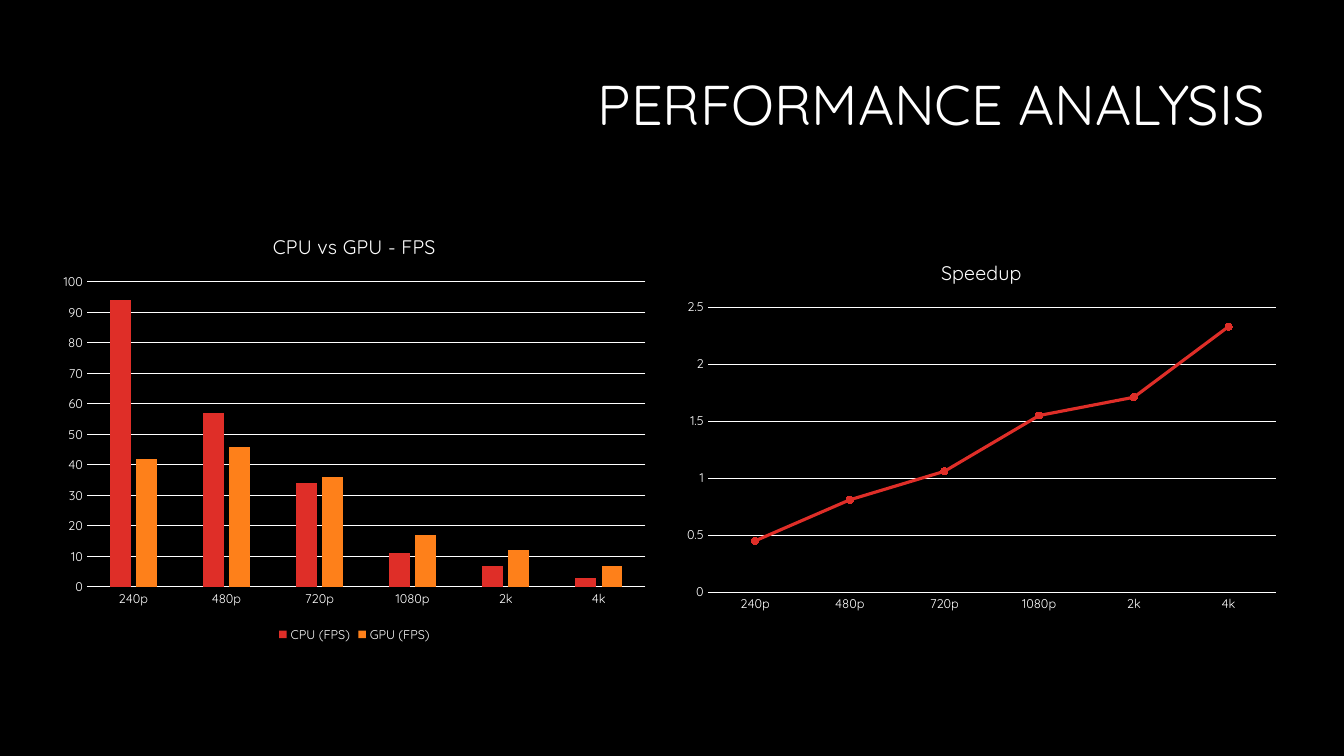
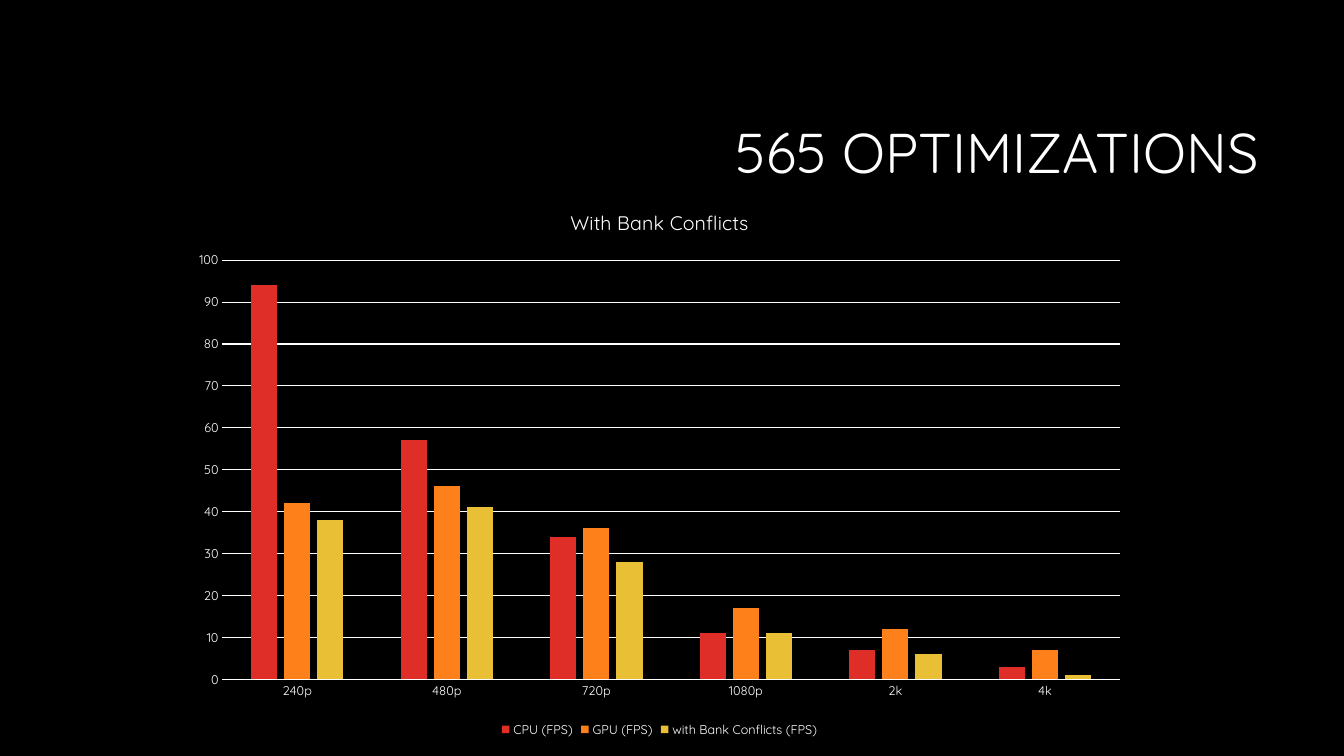
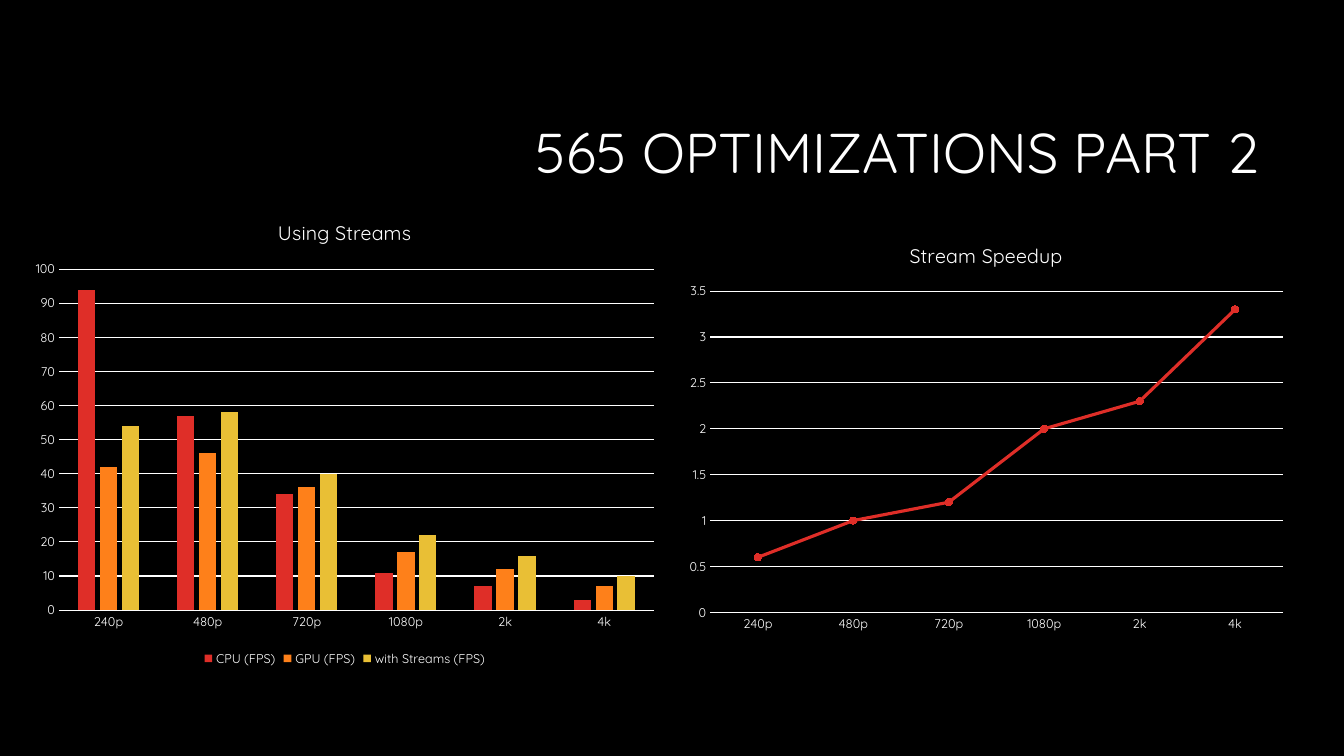
from dataclasses import dataclass

from pptx import Presentation
from pptx.chart.data import CategoryChartData
from pptx.dml.color import RGBColor
from pptx.enum.chart import XL_CHART_TYPE as ChartType
from pptx.enum.chart import XL_LEGEND_POSITION as LegendPos
from pptx.enum.chart import XL_MARKER_STYLE as Marker
from pptx.enum.chart import XL_TICK_MARK as Tick
from pptx.enum.text import MSO_ANCHOR, MSO_AUTO_SIZE, PP_ALIGN
from pptx.util import Inches, Pt


# Theme
@dataclass(frozen=True)
class Theme:
    width: float = 13.33
    height: float = 7.5
    font: str = "Quicksand"
    bg: str = "000000"
    ink: str = "FFFFFF"
    accents: tuple = ("DF2E28", "FE801A", "E9BF35")
    title: float = 40
    chart_title: float = 14
    chart_text: float = 10
    label: float = 9
    hairline: float = 0.75
    trend: float = 2.25
    marker: int = 5


T = Theme()

# Data shared by the charts
RESOLUTIONS = ["240p", "480p", "720p", "1080p", "2k", "4k"]
BASE_FPS = {
    "CPU (FPS)": [94, 57, 34, 11, 7, 3],
    "GPU (FPS)": [42, 46, 36, 17, 12, 7],
}


# Basic helpers
def rgb(code):
    return RGBColor.from_string(code)


def box(left, top, width, height):
    """Turn percentages of the slide's size into lengths."""
    return (Inches(T.width * left / 100), Inches(T.height * top / 100),
            Inches(T.width * width / 100), Inches(T.height * height / 100))


def style_font(font, size, color=T.ink):
    font.name, font.size, font.bold = T.font, Pt(size), False
    font.color.rgb = rgb(color)


def style_fill(fill, color):
    fill.solid()
    fill.fore_color.rgb = rgb(color)


def style_line(line, color, width):
    line.color.rgb = rgb(color)
    line.width = Pt(width)


def set_text(tf, text, size, align=None, spacing=None):
    p = tf.paragraphs[0]
    p.alignment, p.line_spacing = align, spacing
    r = p.add_run()
    r.text = text
    style_font(r.font, size)


# Slide with a right-aligned title
def add_slide(prs, title, left=23.75, top=11.2):
    s = prs.slides.add_slide(prs.slide_layouts[5])
    sp = s.shapes.title
    sp.left, sp.top, sp.width, sp.height = box(left, top, 70.67, 18.8)
    tf = sp.text_frame
    tf.word_wrap = True
    tf.auto_size = MSO_AUTO_SIZE.NONE
    tf.vertical_anchor = MSO_ANCHOR.MIDDLE
    set_text(tf, title, T.title, align=PP_ALIGN.RIGHT, spacing=0.9)
    return s


# Charts
def style_axes(chart, top, step):
    for axis in (chart.category_axis, chart.value_axis):
        axis.major_tick_mark = axis.minor_tick_mark = Tick.NONE
        style_font(axis.tick_labels.font, T.label)
    style_line(chart.category_axis.format.line, T.ink, T.hairline)
    values = chart.value_axis
    values.minimum_scale, values.maximum_scale = 0, top
    values.major_unit = step
    values.format.line.fill.background()
    values.has_major_gridlines = True
    style_line(values.major_gridlines.format.line, T.ink, T.hairline)


def add_chart(s, kind, title, series, place, top, step):
    data = CategoryChartData()
    data.categories = RESOLUTIONS
    for name, values in series.items():
        data.add_series(name, values)
    chart = s.shapes.add_chart(kind, *box(*place), data).chart
    style_font(chart.font, T.chart_text)
    chart.has_title = True
    set_text(chart.chart_title.text_frame, title, T.chart_title)
    chart.chart_title.include_in_layout = False
    chart.has_legend = False
    chart.plots[0].vary_by_categories = False
    style_axes(chart, top, step)
    return chart


def add_fps_chart(s, title, place, series=BASE_FPS):
    chart = add_chart(s, ChartType.COLUMN_CLUSTERED, title, series, place,
                      top=100, step=10)
    plot = chart.plots[0]
    plot.gap_width, plot.overlap = 219, -27
    for bars, color in zip(plot.series, T.accents):
        style_fill(bars.format.fill, color)
    chart.has_legend = True
    chart.legend.position = LegendPos.BOTTOM
    chart.legend.include_in_layout = False
    style_font(chart.legend.font, T.label)


def add_speedup_chart(s, title, place, values, top):
    chart = add_chart(s, ChartType.LINE_MARKERS, title, {"Series 1": values},
                      place, top, step=0.5)
    trend, color = chart.plots[0].series[0], T.accents[0]
    trend.smooth = False
    style_line(trend.format.line, color, T.trend)
    marker = trend.marker
    marker.style, marker.size = Marker.CIRCLE, T.marker
    style_fill(marker.format.fill, color)
    style_line(marker.format.line, color, T.hairline)


def main():
    prs = Presentation()
    prs.slide_width, prs.slide_height = Inches(T.width), Inches(T.height)
    style_fill(prs.slide_master.background.fill, T.bg)

    # Performance analysis
    s = add_slide(prs, "PERFORMANCE ANALYSIS", left=24.2, top=4.8)
    add_fps_chart(s, "CPU vs GPU - FPS", (3.83, 28.35, 45.09, 57.15))
    add_speedup_chart(s, "Speedup", (50.2, 32, 45.65, 49.95),
                      [0.45, 0.81, 1.06, 1.55, 1.71, 2.33], top=2.5)

    # Bank conflicts
    s = add_slide(prs, "565 OPTIMIZATIONS")
    add_fps_chart(s, "With Bank Conflicts", (13.4, 24.85, 71.34, 73.2),
                  BASE_FPS | {"with Bank Conflicts (FPS)": [38, 41, 28, 11, 6, 1]})

    # Streams
    s = add_slide(prs, "565 OPTIMIZATIONS PART 2")
    add_fps_chart(s, "Using Streams", (1.7, 26.47, 47.9, 62.2),
                  BASE_FPS | {"with Streams (FPS)": [54, 58, 40, 22, 16, 10]})
    add_speedup_chart(s, "Stream Speedup", (50.38, 29.67, 45.99, 55.05),
                      [0.6, 1, 1.2, 2, 2.3, 3.3], top=3.5)

    prs.save("out.pptx")


if __name__ == "__main__":
    main()
